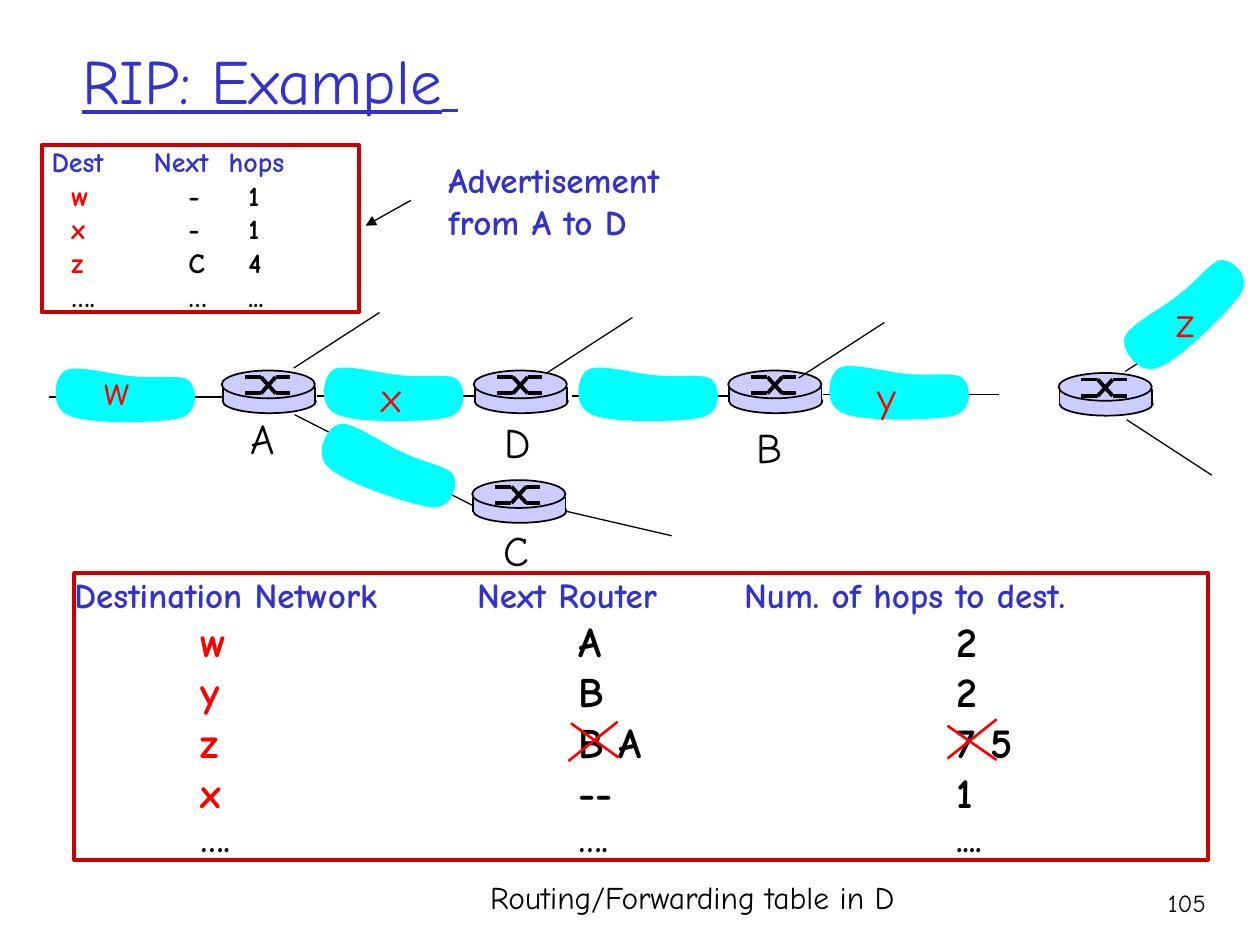
from itertools import pairwise

from lxml.etree import SubElement
from pptx import Presentation
from pptx.dml.color import RGBColor
from pptx.enum.shapes import MSO_CONNECTOR, MSO_SHAPE
from pptx.enum.text import MSO_ANCHOR, PP_ALIGN
from pptx.oxml.ns import qn
from pptx.util import Cm, Pt

BLACK, BLUE, RED = "000000", "3333CC", "FF0000"
FRAME_RED, CYAN, LAVENDER = "CC0000", "00FFFF", "CCCCFF"
colour = RGBColor.from_string


def write(paragraph, text, size=24, color=BLACK, bold=False, underline=False, align=PP_ALIGN.LEFT):
    paragraph.alignment = align
    run = paragraph.add_run()
    run.text = text
    run.font.name, run.font.size = "Comic Neue", Pt(size)
    run.font.bold, run.font.underline = bold, underline
    run.font.color.rgb = colour(color)


def draw_line(start, end, width=0.75, color=BLACK):
    points = [Cm(value) for value in (*start, *end)]
    connector = slide.shapes.add_connector(MSO_CONNECTOR.STRAIGHT, *points)
    connector.line.width = Pt(width)
    connector.line.color.rgb = colour(color)
    SubElement(connector._element.spPr, qn("a:effectLst"))
    return connector


presentation = Presentation()
presentation.slide_width, presentation.slide_height = Cm(25.4), Cm(19.05)
slide = presentation.slides.add_slide(presentation.slide_layouts[5])

title = slide.shapes.title
title.left, title.top, title.width, title.height = Cm(1.4), Cm(0), Cm(21.59), Cm(3.18)
title.text_frame.vertical_anchor = MSO_ANCHOR.MIDDLE
for text, size in [("RIP: Example", 36), (" ", 28)]:
    write(title.text_frame.paragraphs[0], text, size=size, color=BLUE, underline=True)

forwarding = [
    ("Destination Network", "Next Router", "Num. of hops to dest."),
    ("w", "A", "2"),
    ("y", "B", "2"),
    ("z", "B A", "7 5"),
    ("x", "--", "1"),
    ("….", "….", "...."),
]
advertisement = [
    ("Dest", "Next", "hops"),
    ("w", "-", "1"),
    ("x", "-", "1"),
    ("z", "C", "4"),
    ("….", "…", "..."),
]
routing_tables = [
    (forwarding, (1.5, 11.56, 22.86, 5.77), (0, 8.12, 13.5), (2.54, 10.16, 17.78), 20, 24),
    (advertisement, (0.84, 2.92, 6.4, 3.38), (0.2, 2.26, 3.77), (0.6, 2.96, 4.17), 16, 16),
]
for rows, box, header_stops, body_stops, outer_size, body_size in routing_tables:
    frame = slide.shapes.add_shape(MSO_SHAPE.RECTANGLE, *[Cm(value) for value in box])
    frame.shadow.inherit = False
    frame.fill.background()
    frame.line.color.rgb = colour(FRAME_RED)
    frame.line.width = Pt(2.25)
    text_frame = frame.text_frame
    text_frame.word_wrap = True
    text_frame.vertical_anchor = MSO_ANCHOR.TOP
    text_frame.margin_left = text_frame.margin_right = 0
    text_frame.margin_top = text_frame.margin_bottom = 0
    for index, (first, *others) in enumerate(rows):
        is_header, is_last = index == 0, index == len(rows) - 1
        paragraph = text_frame.add_paragraph() if index else text_frame.paragraphs[0]
        stops = [stop for stop in (header_stops if is_header else body_stops) if stop]
        tab_list = SubElement(paragraph._p.get_or_add_pPr(), qn("a:tabLst"))
        for stop in stops:
            SubElement(tab_list, qn("a:tab"), pos=str(int(Cm(stop))), algn="l")
        size = outer_size if is_header or is_last else body_size
        rest_color = BLUE if is_header else BLACK
        first_color = rest_color if is_header or is_last else RED
        lead = "\t" if len(stops) == 3 else ""
        write(paragraph, lead + first, size=size, color=first_color, bold=True)
        write(paragraph, "\t" + "\t".join(others), size=size, color=rest_color, bold=True)

for left, top in [(0.99, 8), (6.4, 7.98), (11.53, 7.98), (16.59, 7.95)]:
    draw_line((left, top), (left + 3.55, top), width=1)

router_parts = [
    (MSO_SHAPE.OVAL, 0.02, 0.38, 1.88, 0.48),
    (MSO_SHAPE.RECTANGLE, 0.02, 0.33, 1.86, 0.3),
    (MSO_SHAPE.OVAL, 0, 0, 1.88, 0.56),
]
routers = [(4.47, 7.47), (9.55, 7.47), (9.52, 9.68), (14.68, 7.47), (21.34, 7.52)]
for left, top in routers:
    for kind, x, y, width, height in router_parts:
        part = slide.shapes.add_shape(kind, Cm(left + x), Cm(top + y), Cm(width), Cm(height))
        part.shadow.inherit = False
        part.fill.solid()
        part.fill.fore_color.rgb = colour(LAVENDER)
        if kind == MSO_SHAPE.OVAL:
            part.line.color.rgb = colour(BLACK)
            part.line.width = Pt(1)
        else:
            part.line.fill.background()
    for x in (0.02, 1.88):
        draw_line((left + x, top + 0.33), (left + x, top + 0.64), width=1)
    for near, far in [(0.13, 0.46), (0.46, 0.13)]:
        stroke = [(0.46, near), (0.79, near), (1.09, far), (1.37, far)]
        for start, end in pairwise((left + x, top + y) for x, y in stroke):
            draw_line(start, end, width=2.25)

for x, y in [(5.92, 7.42), (11.02, 7.52), (16.1, 7.62), (22.68, 7.49)]:
    draw_line((x, y), (x + 1.73, y - 1.12))
draw_line((22.71, 8.46), (24.43, 9.58))
draw_line((5.94, 8.36), (9.53, 10.19))
draw_line((11.43, 10.31), (13.54, 10.8))

network_outline = [
    (1.73, 0.25),
    (1.32, 0.23), (0.56, 0), (0.33, 0.13),
    (0.1, 0.25), (0, 0.89), (0.41, 1.04),
    (0.79, 1.22), (2.24, 1.19), (2.64, 1.09),
    (3.05, 0.97), (2.97, 0.46), (2.82, 0.33),
    (2.67, 0.2), (2.13, 0.3), (1.73, 0.25),
]
outline_start, *outline_rest = [(Cm(x), Cm(y)) for x, y in network_outline]
networks = [
    (0.99, 7.34, 0), (6.4, 7.32, 0), (11.53, 7.32, 0), (16.59, 7.29, 0),
    (6.3, 8.79, 19.7), (22.35, 5.72, 316.8),
]
for left, top, rotation in networks:
    builder = slide.shapes.build_freeform(*outline_start, scale=1.0)
    builder.add_line_segments(outline_rest, close=True)
    network = builder.convert_to_shape(Cm(left), Cm(top))
    segments = list(network._element.iter(qn("a:lnTo")))
    for first in range(0, len(segments), 3):
        curve = segments[first]
        curve.tag = qn("a:cubicBezTo")
        for segment in segments[first + 1:first + 3]:
            curve.append(segment[0])
            segment.getparent().remove(segment)
    network.rotation = rotation
    network.shadow.inherit = False
    network.fill.solid()
    network.fill.fore_color.rgb = colour(CYAN)
    network.line.fill.background()

labels = [
    ("w", 1.85, 7.21, 1.02, RED), ("x", 7.44, 7.34, 0.91, RED),
    ("y", 17.45, 7.34, 0.89, RED), ("z", 23.47, 5.84, 0.86, RED),
    ("A", 4.8, 8.2, 0.99, BLACK), ("C", 9.91, 10.44, 1.02, BLACK),
    ("D", 9.93, 8.28, 1.04, BLACK), ("B", 15.01, 8.38, 1.02, BLACK),
]
captions = [
    (text, (left, top, width, 1.27), {"color": color})
    for text, left, top, width, color in labels
] + [
    ("Advertisement\nfrom A to D", (8.79, 3.07, 4.78, 1.96),
     {"size": 20, "color": BLUE, "bold": True}),
    ("Routing/Forwarding table in D", (9.63, 17.58, 8.76, 1.02), {"size": 18}),
    ("105", (22.68, 17.78, 1.88, 1.27), {"size": 14, "align": PP_ALIGN.RIGHT}),
]
for text, box, text_format in captions:
    caption = slide.shapes.add_textbox(*[Cm(value) for value in box])
    caption.text_frame.word_wrap = False
    for index, line in enumerate(text.split("\n")):
        if index:
            caption.text_frame.add_paragraph()
        write(caption.text_frame.paragraphs[index], line, **text_format)

arrow = draw_line((8.28, 4.04), (7.37, 4.55))
SubElement(arrow.line._get_or_add_ln(), qn("a:tailEnd"), type="triangle")

strikes = [
    ((11.51, 14.58), (12.47, 15.27)), ((11.46, 15.34), (12.45, 14.55)),
    ((19.1, 14.63), (20.09, 15.32)), ((19.1, 15.29), (20.09, 14.5)),
]
for start, end in strikes:
    draw_line(start, end, width=1.5, color=RED)

presentation.save("out.pptx")
